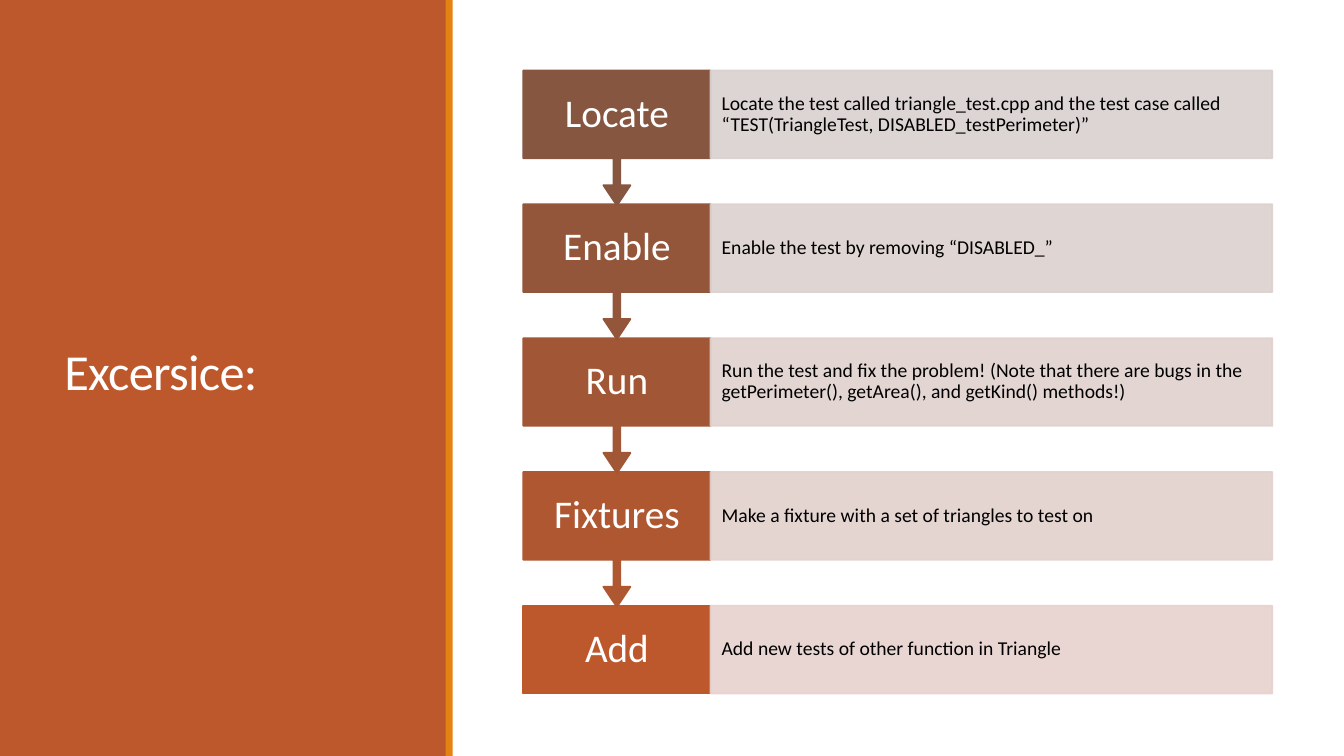
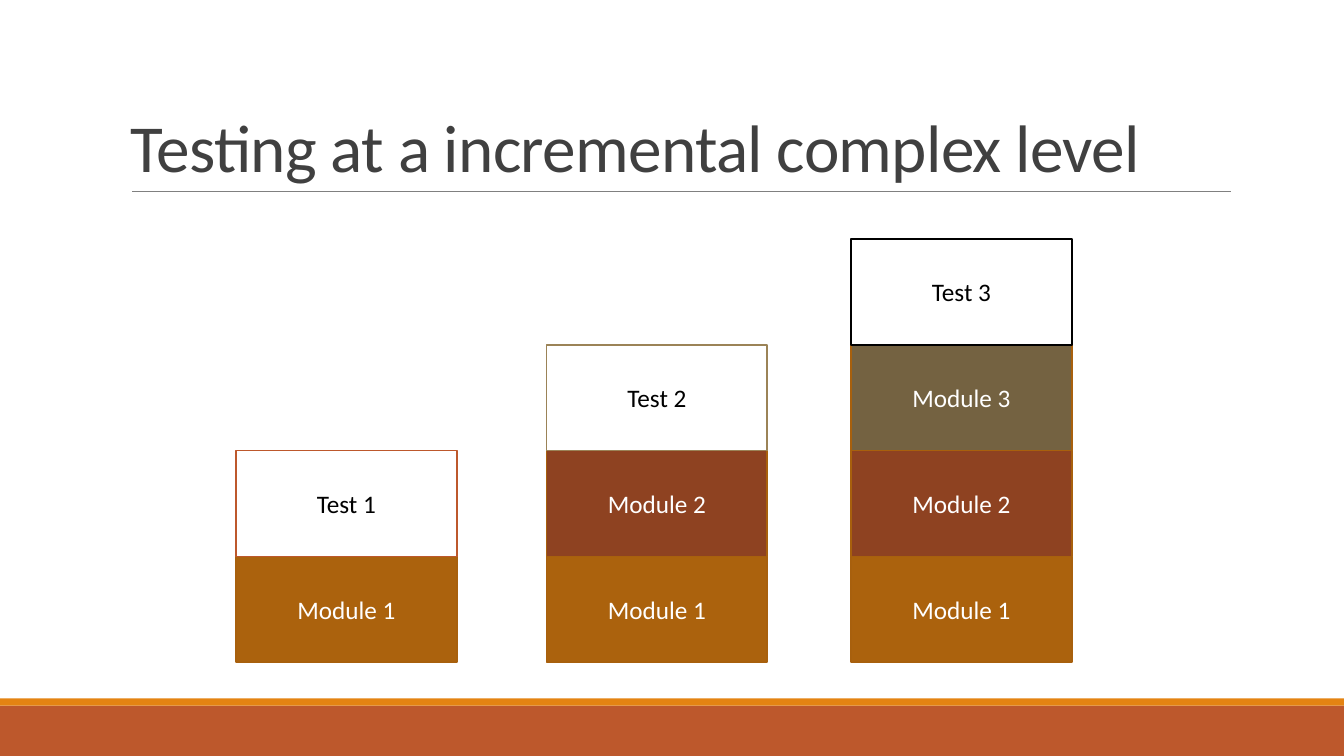
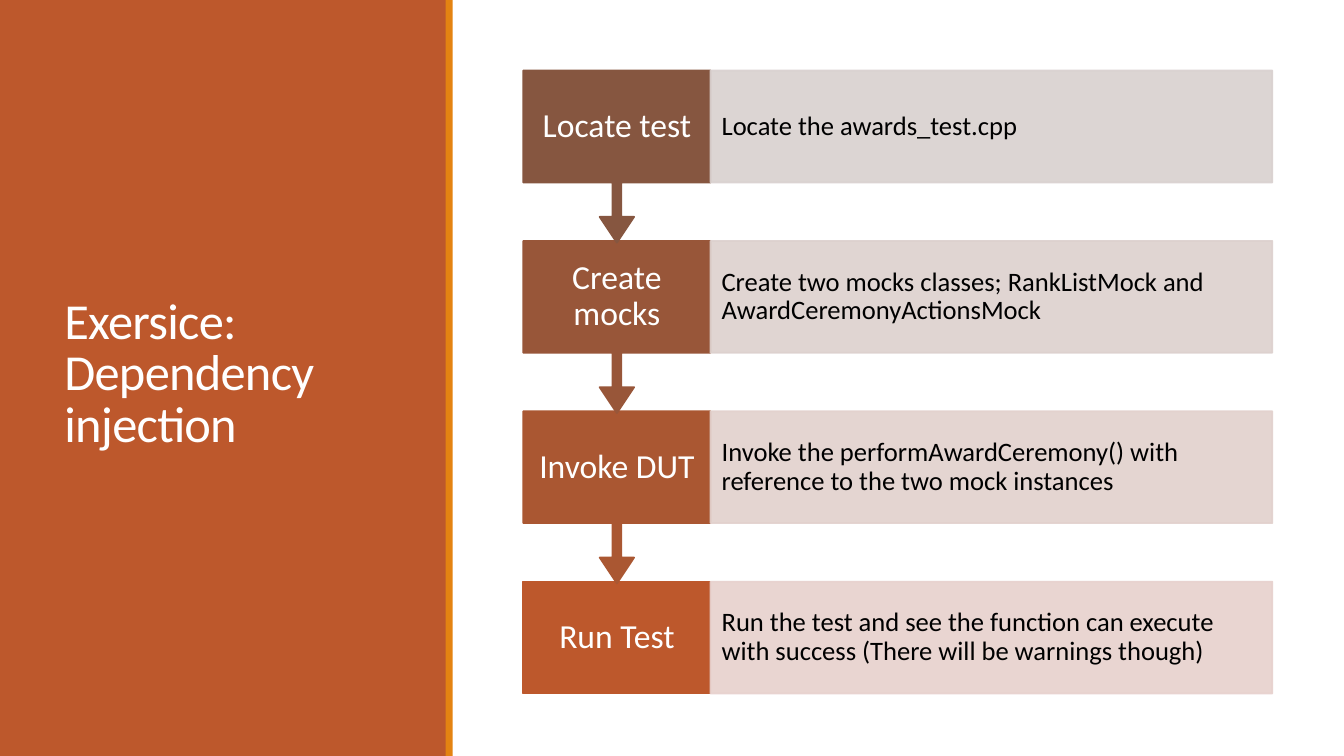
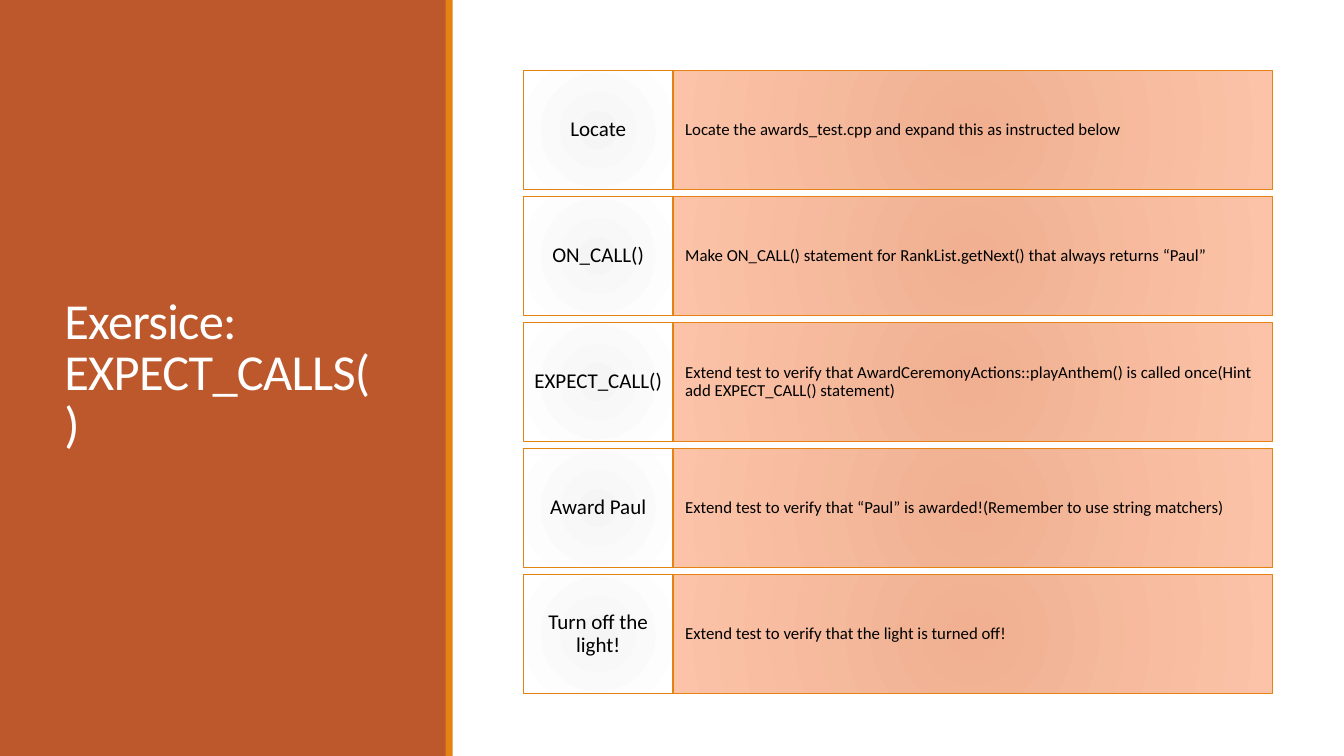
from collections import namedtuple

from lxml import etree
from pptx import Presentation
from pptx.dml.color import RGBColor
from pptx.enum import shapes, text
from pptx.oxml import ns
from pptx.util import Inches, Pt

COLORS = {
    "rust": "BD582C", "orange": "E48312", "brown": "865640",
    "pale_brown": "D9D1CF", "pale_rust": "E7D1CD",
    "peach": "F0B091", "light_peach": "FCC3A8", "mist": "F5F5F5",
    "amber": "AB620D", "amber_edge": "A8600D", "brick": "8E4221",
    "olive": "746241", "khaki": "9B8357", "heading": "404040",
    "rule": "808080", "white": "FFFFFF", "black": "000000",
}
FONT = "Calibri"
Box = namedtuple("Box", "left top width height")
SLIDE = Box(0, 0, 13.33, 7.5)
STEPS = Box(5.19, 0.7, 7.43, 6.18)
RECTANGLE = shapes.MSO_SHAPE.RECTANGLE
CALLOUT = shapes.MSO_SHAPE.DOWN_ARROW_CALLOUT
CALLOUT_BODY = 0.65
CENTER = text.PP_ALIGN.CENTER
LEFT = text.PP_ALIGN.LEFT
MIDDLE = text.MSO_ANCHOR.MIDDLE
BOTTOM = text.MSO_ANCHOR.BOTTOM


def rgb(color):
    return RGBColor.from_string(COLORS.get(color, color))


def blend(first, last, share):
    pairs = zip(rgb(first), rgb(last))
    return "".join(f"{int(a + (b - a) * share):02X}" for a, b in pairs)


def write(shape, words, size, color, align=LEFT, anchor=MIDDLE,
          insets=(0.1, 0.05), spacing=1.0, after=0.0, tracking=None):
    frame = shape.text_frame
    frame.text = words
    frame.word_wrap = True
    frame.vertical_anchor = anchor
    frame.margin_left = frame.margin_right = Inches(insets[0])
    frame.margin_top = frame.margin_bottom = Inches(insets[1])
    paragraph = frame.paragraphs[0]
    paragraph.alignment = align
    paragraph.line_spacing = spacing
    paragraph.space_after = Pt(after)
    run = paragraph.runs[0]
    run.font.name = FONT
    run.font.size = Pt(size)
    run.font.color.rgb = rgb(color)
    if tracking is not None:
        run.font._element.set("spc", str(int(tracking * 100)))


def add_block(slide, box, fill, edge=None, edge_width=1.25, preset=RECTANGLE):
    block = slide.shapes.add_shape(preset, *map(Inches, box))
    block.shadow.inherit = False
    block.fill.solid()
    block.fill.fore_color.rgb = rgb(fill)
    if edge:
        block.line.color.rgb = rgb(edge)
        block.line.width = Pt(edge_width)
    else:
        block.line.fill.background()
    return block


def set_opacity(block, percent):
    for color in block._element.spPr.iter(ns.qn("a:srgbClr")):
        alpha = etree.SubElement(color, ns.qn("a:alpha"))
        alpha.set("val", str(percent * 1000))


def set_radial_fill(block, inner, outer):
    block.fill.gradient()
    for stop, color in zip(block.fill.gradient_stops, (inner, outer)):
        stop.color.rgb = rgb(color)
    gradient = block._element.spPr.find(ns.qn("a:gradFill"))
    gradient.remove(gradient.find(ns.qn("a:lin")))
    circle = etree.SubElement(gradient, ns.qn("a:path"), {"path": "circle"})
    sides = dict.fromkeys("ltrb", "50000")
    etree.SubElement(circle, ns.qn("a:fillToRect"), sides)


def add_title(slide, box, words, size, color, anchor):
    title = slide.shapes.add_textbox(*map(Inches, box))
    write(title, words, size, color, anchor=anchor, spacing=0.85, tracking=-0.5)


def add_side_panel(slide, box, title):
    add_block(slide, box, "rust")
    inner = Box(box.left + 0.54, box.top + 0.57, box.width - 1.06, 6.31)
    add_title(slide, inner, title, 36, "white", MIDDLE)
    edge = Box(box.left + box.width - 0.01, box.top, 0.07, box.height)
    add_block(slide, edge, "orange")


def add_heading(slide, box, title):
    add_title(slide, box, title, 48, "heading", BOTTOM)
    bottom = box.top + box.height
    ends = (box.left + 0.11, bottom, box.left + box.width + 0.01, bottom)
    underline = slide.shapes.add_connector(
        shapes.MSO_CONNECTOR.STRAIGHT, *map(Inches, ends))
    underline.line.color.rgb = rgb("rule")
    underline.line.width = Pt(0.5)
    etree.SubElement(underline._element.spPr, ns.qn("a:effectLst"))


def add_footer_bands(slide, box):
    add_block(slide, Box(box.left, box.top + 0.07, box.width, 0.5), "rust")
    add_block(slide, Box(box.left, box.top, box.width, 0.07), "orange")


def split_rows(box, count, row_height, label_share):
    pitch = (box.height - row_height) / (count - 1)
    label_width = box.width * label_share
    for index in range(count):
        top = box.top + index * pitch
        yield (Box(box.left, top, label_width, row_height),
               Box(box.left + label_width, top,
                   box.width - label_width, row_height))


def write_step(shape, words, size, color, align, insets):
    write(shape, words, size, color, align, insets=insets,
          spacing=0.9, after=size * 0.35)


def add_process(slide, box, steps, row_height, label_style, detail_style):
    rows = list(split_rows(box, len(steps), row_height, 0.25))
    last = len(steps) - 1
    for index in range(last, -1, -1):
        name, explanation = steps[index]
        label_box, detail_box = rows[index]
        strong = blend("brown", "rust", index / last)
        pale = blend("pale_brown", "pale_rust", index / last)
        if index == last:
            label = add_block(slide, label_box, strong, strong)
        else:
            callout_box = label_box._replace(height=row_height / CALLOUT_BODY)
            label = add_block(slide, callout_box, strong, strong, preset=CALLOUT)
            for position, value in enumerate((0.05, 0.1, 0.15, CALLOUT_BODY)):
                label.adjustments[position] = value
        write_step(label, name, label_style[0], "white", CENTER, label_style[1])
        detail = add_block(slide, detail_box, pale, pale)
        set_opacity(detail, 90)
        write_step(detail, explanation, detail_style[0], "black", LEFT,
                   detail_style[1])


def add_task_list(slide, box, steps, row_height):
    rows = split_rows(box, len(steps), row_height, 0.2)
    for (name, explanation), (label_box, detail_box) in zip(steps, rows):
        detail = add_block(slide, detail_box, "peach", "orange", 1)
        set_radial_fill(detail, "peach", "light_peach")
        write_step(detail, explanation, 12, "black", LEFT, (0.12, 0.3))
        label = add_block(slide, label_box, "mist", "orange", 1)
        set_radial_fill(label, "mist", "white")
        write_step(label, name, 15, "black", CENTER, (0.08, 0.12))


def add_tower(slide, base, module_count, test_edge):
    fills = ("amber", "brick", "olive")[:module_count]
    levels = [(f"Module {number}", fill, "amber_edge", "white")
              for number, fill in enumerate(fills, 1)]
    levels.append((f"Test {module_count}", "white", test_edge, "black"))
    for level, (name, fill, edge, color) in enumerate(levels):
        level_box = base._replace(top=base.top - level * base.height)
        write(add_block(slide, level_box, fill, edge), name, 18, color, CENTER)


def new_slide(deck):
    return deck.slides.add_slide(deck.slide_layouts[6])


def new_exercise(deck, title):
    slide = new_slide(deck)
    add_side_panel(slide, SLIDE._replace(width=4.43), title)
    return slide


def build_triangle_exercise(deck):
    steps = [
        ("Locate", "Locate the test called triangle_test.cpp and the test case "
                   "called “TEST(TriangleTest, DISABLED_testPerimeter)”"),
        ("Enable", "Enable the test by removing “DISABLED_”"),
        ("Run", "Run the test and fix the problem! (Note that there are bugs in "
                "the getPerimeter(), getArea(), and getKind() methods!)"),
        ("Fixtures", "Make a fixture with a set of triangles to test on"),
        ("Add", "Add new tests of other function in Triangle"),
    ]
    slide = new_exercise(deck, "Excersice:")
    add_process(slide, STEPS, steps, 0.87,
                (28, (0.13, 0.22)), (14, (0.11, 0.19)))


def build_incremental_testing(deck):
    slide = new_slide(deck)
    add_footer_bands(slide, Box(0, 6.93, SLIDE.width, 0.57))
    add_heading(slide, Box(1.2, 0.31, 11, 1.59),
                "Testing at a incremental complex level")
    towers = ((2.34, "rust"), (5.42, "khaki"), (8.44, "black"))
    for module_count, (left, test_edge) in enumerate(towers, 1):
        add_tower(slide, Box(left, 5.52, 2.19, 1.05), module_count, test_edge)


def build_injection_exercise(deck):
    steps = [
        ("Locate test", "Locate the awards_test.cpp"),
        ("Create mocks", "Create two mocks classes; RankListMock and "
                         "AwardCeremonyActionsMock"),
        ("Invoke DUT", "Invoke the performAwardCeremony() with reference to the "
                       "two mock instances"),
        ("Run Test", "Run the test and see the function can execute with success "
                     "(There will be warnings though)"),
    ]
    slide = new_exercise(deck, "Exersice: Dependency injection")
    add_process(slide, STEPS, steps, 1.11,
                (24, (0.13, 0.19)), (19, (0.11, 0.26)))


def build_expect_exercise(deck):
    steps = [
        ("Locate", "Locate the awards_test.cpp and expand this as instructed "
                   "below"),
        ("ON_CALL()", "Make ON_CALL() statement for RankList.getNext() that "
                      "always returns “Paul”"),
        ("EXPECT_CALL()", "Extend test to verify that "
                          "AwardCeremonyActions::playAnthem() is called "
                          "once(Hint add EXPECT_CALL() statement)"),
        ("Award Paul", "Extend test to verify that “Paul” is awarded!(Remember "
                       "to use string matchers)"),
        ("Turn off the light!", "Extend test to verify that the light is turned "
                                "off!"),
    ]
    slide = new_exercise(deck, "Exersice: EXPECT_CALLS()")
    add_task_list(slide, STEPS, steps, 1.18)


def main():
    deck = Presentation()
    deck.slide_width = Inches(SLIDE.width)
    deck.slide_height = Inches(SLIDE.height)
    build_triangle_exercise(deck)
    build_incremental_testing(deck)
    build_injection_exercise(deck)
    build_expect_exercise(deck)
    deck.save("out.pptx")


if __name__ == "__main__":
    main()
